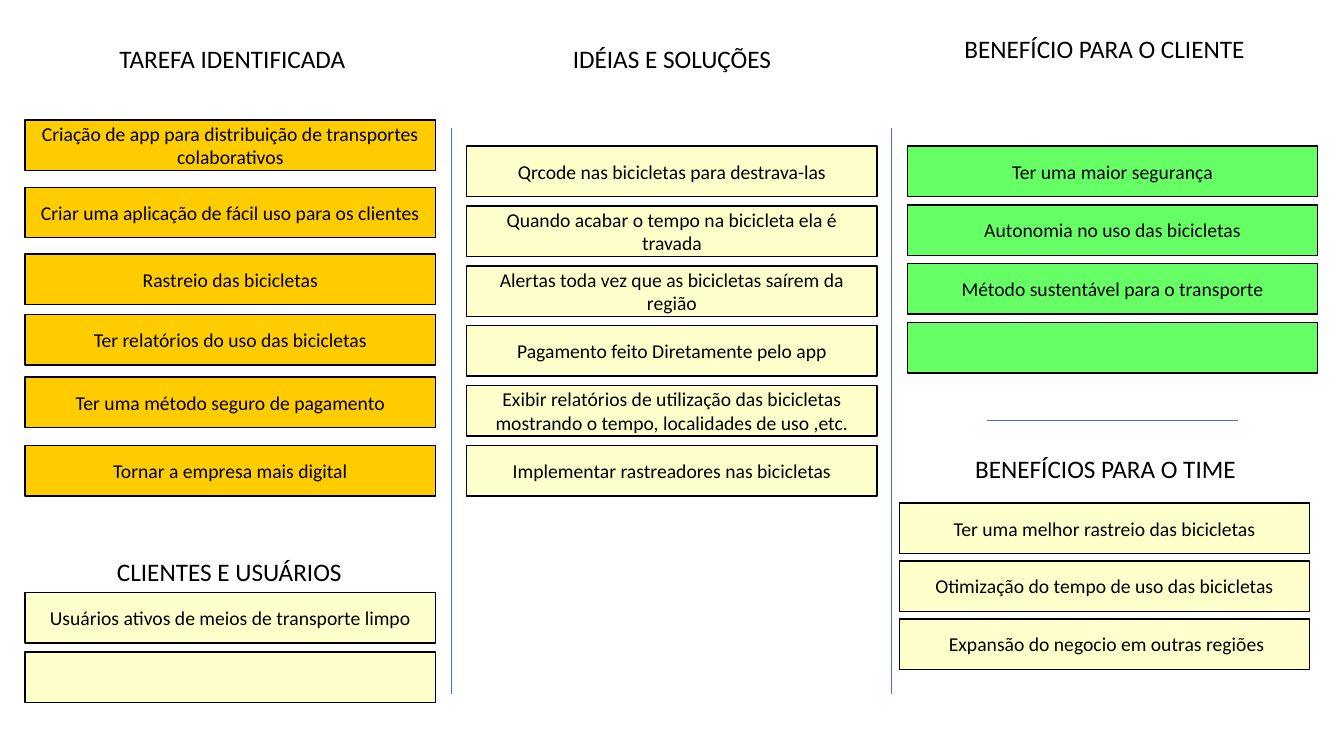
from dataclasses import dataclass

from lxml.etree import SubElement
from pptx import Presentation
from pptx.dml.color import RGBColor
from pptx.enum.shapes import MSO_CONNECTOR, MSO_SHAPE
from pptx.enum.text import MSO_ANCHOR, PP_ALIGN
from pptx.oxml.ns import qn
from pptx.util import Inches, Pt


@dataclass(frozen=True)
class Theme:
    """Colours, type sizes and the box sizes shared by the whole board."""
    font: str = "Calibri"
    ink: str = "000000"
    paper: str = "FFFFFF"
    orange: str = "FFCC00"
    cream: str = "FFFFCC"
    green: str = "66FF66"
    rule: str = "4472C4"
    heading_size: int = 18
    card_size: int = 14
    heading_width: float = 3.03
    card_width: float = 4.07
    box_height: float = 0.5


THEME = Theme()
TASK_LEFT, IDEA_LEFT, BENEFIT_LEFT, TEAM_LEFT = 0.25, 4.63, 9.0, 8.92
HEADING_TOP, DIVIDER_TOP, DIVIDER_BOTTOM = 0.33, 1.27, 6.89

TASKS = [
    "Criação de app para distribuição de transportes\ncolaborativos",
    "Criar uma aplicação de fácil uso para os clientes",
    "Rastreio das bicicletas",
    "Ter relatórios do uso das bicicletas",
    "Ter uma método seguro de pagamento",
    "Tornar a empresa mais digital",
]
TASK_TOPS = [1.19, 1.86, 2.52, 3.12, 3.74, 4.42]
USERS = ["Usuários ativos de meios de transporte limpo", ""]
IDEAS = [
    "Qrcode nas bicicletas para destrava-las",
    "Quando acabar o tempo na bicicleta ela é travada",
    "Alertas toda vez que as bicicletas saírem da região",
    "Pagamento feito Diretamente pelo app",
    "Exibir relatórios de utilização das bicicletas mostrando o tempo, "
    "localidades de uso ,etc.",
    "Implementar rastreadores nas bicicletas",
]
CLIENT_BENEFITS = [
    "Ter uma maior segurança",
    "Autonomia no uso das bicicletas",
    "Método sustentável para o transporte",
    "",
]
TEAM_BENEFITS = [
    "Ter uma melhor rastreio das bicicletas",
    "Otimização do tempo de uso das bicicletas",
    " Expansão do negocio em outras regiões",
]


def even_tops(first, last, count):
    """Return the tops of equally spaced rows."""
    return [first + (last - first) * row / (count - 1) for row in range(count)]


def add_box(page, text, left, top, width, fill, line, size):
    """Add a filled rectangle with centred text."""
    box = page.shapes.add_shape(
        MSO_SHAPE.RECTANGLE, Inches(left), Inches(top),
        Inches(width), Inches(THEME.box_height))
    box.shadow.inherit = False
    box.fill.solid()
    box.fill.fore_color.rgb = RGBColor.from_string(fill)
    box.line.color.rgb = RGBColor.from_string(line)
    box.line.width = Pt(1)
    frame = box.text_frame
    frame.word_wrap = True
    frame.vertical_anchor = MSO_ANCHOR.MIDDLE
    frame.text = text
    for para in frame.paragraphs:
        para.alignment = PP_ALIGN.CENTER
        para.font.name = THEME.font
        para.font.size = Pt(size)
        para.font.color.rgb = RGBColor.from_string(THEME.ink)
    return box


def add_heading(page, text, left, top):
    """Add a section heading."""
    return add_box(page, text, left, top, THEME.heading_width,
                   THEME.paper, THEME.paper, THEME.heading_size)


def add_cards(page, texts, left, tops, fill):
    """Add a column of outlined cards, one for each text."""
    for text, top in zip(texts, tops):
        add_box(page, text, left, top, THEME.card_width,
                fill, THEME.ink, THEME.card_size)


def add_rule(page, start, end):
    """Add a thin straight line between two points."""
    rule = page.shapes.add_connector(
        MSO_CONNECTOR.STRAIGHT, *(Inches(length) for length in start + end))
    rule.line.color.rgb = RGBColor.from_string(THEME.rule)
    rule.line.width = Pt(0.5)
    SubElement(rule._element.spPr, qn("a:effectLst"))


def main():
    """Build the board of tasks, ideas and benefits."""
    deck = Presentation()
    deck.slide_width, deck.slide_height = Inches(13.33), Inches(7.5)
    page = deck.slides.add_slide(deck.slide_layouts[6])

    for x in (8.84, 4.48):
        add_rule(page, (x, DIVIDER_TOP), (x, DIVIDER_BOTTOM))

    add_heading(page, "TAREFA IDENTIFICADA", 0.79, HEADING_TOP)
    add_cards(page, TASKS, TASK_LEFT, TASK_TOPS, THEME.orange)
    add_heading(page, "CLIENTES E USUÁRIOS", 0.76, 5.42)
    add_cards(page, USERS, TASK_LEFT, even_tops(5.88, 6.47, len(USERS)),
              THEME.cream)

    add_heading(page, "IDÉIAS E SOLUÇÕES", 5.15, HEADING_TOP)
    add_cards(page, IDEAS, IDEA_LEFT, even_tops(1.45, 4.42, len(IDEAS)),
              THEME.cream)

    client = add_heading(page, "BENEFÍCIO PARA O CLIENTE", 9.44, HEADING_TOP)
    client.text_frame.vertical_anchor = MSO_ANCHOR.TOP
    client.text_frame.margin_top = 0
    add_cards(page, CLIENT_BENEFITS, BENEFIT_LEFT,
              even_tops(1.45, 3.2, len(CLIENT_BENEFITS)), THEME.green)
    add_rule(page, (9.79, 4.17), (12.28, 4.17))
    add_heading(page, "BENEFÍCIOS PARA O TIME", 9.45, 4.4)
    add_cards(page, TEAM_BENEFITS, TEAM_LEFT,
              even_tops(4.99, 6.14, len(TEAM_BENEFITS)), THEME.cream)

    deck.save("out.pptx")


main()
